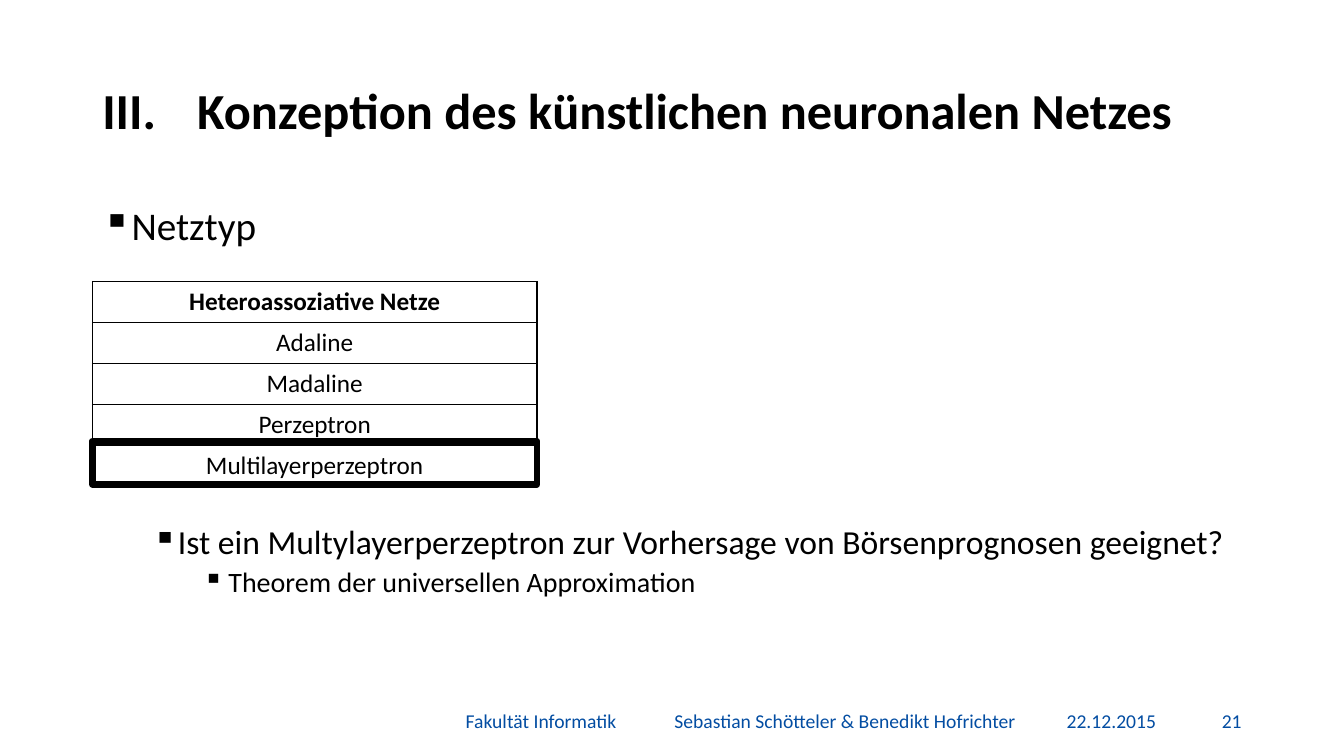
from lxml import etree
from pptx import Presentation
from pptx import util as u
from pptx.dml.color import RGBColor
from pptx.enum import shapes, text
from pptx.oxml import ns

COLORS = {"ink": "000000", "footer": "034DA2"}
FONT = "Calibri"
WIDTH, HEIGHT = u.Inches(13.33), u.Inches(7.5)
COLUMNS, ROWS = 64, 36
MARGIN = 4.4
CONTENT = COLUMNS - 2 * MARGIN
TABLE_TOP, TABLE_WIDTH, TABLE_ROW = 13.4, 21.17, 1.95
NETWORKS = ["Heteroassoziative Netze", "Adaline", "Madaline", "Perzeptron", "Multilayerperzeptron"]
FOOTER = [
    (21.7, 9, "Fakultät Informatik", text.PP_ALIGN.LEFT),
    (31.64, 18, "Sebastian Schötteler & Benedikt Hofrichter", text.PP_ALIGN.LEFT),
    (50.32, 5.24, "22.12.2015", text.PP_ALIGN.LEFT),
    (56.92, 2.68, "21", text.PP_ALIGN.RIGHT),
]


def place(left, top, width, height):
    """Turn grid columns and rows into slide lengths."""
    across, down = WIDTH / COLUMNS, HEIGHT / ROWS
    return int(left * across), int(top * down), int(width * across), int(height * down)


def style(para, size, color="ink", bold=False, align=text.PP_ALIGN.LEFT):
    """Format a paragraph and its runs."""
    para.alignment = align
    for span in para.runs:
        span.font.name = FONT
        span.font.size = u.Pt(size)
        span.font.bold = bold
        span.font.color.rgb = RGBColor.from_string(COLORS[color])


def add_bullet(para, indent, hanging, tag, **attributes):
    """Give a paragraph a hanging bullet or number."""
    properties = para._p.get_or_add_pPr()
    properties.set("marL", str(u.Inches(indent)))
    properties.set("indent", str(-u.Inches(hanging)))
    etree.SubElement(properties, ns.qn(tag), attributes)


def add_frame(page, area, anchor=text.MSO_ANCHOR.TOP):
    """Add a wrapping text box and return its text frame."""
    frame = page.shapes.add_textbox(*place(*area)).text_frame
    frame.word_wrap = True
    frame.vertical_anchor = anchor
    return frame


def add_title(page, wording):
    """Add the numbered chapter title."""
    frame = add_frame(page, (MARGIN, 1.92, CONTENT, 6.96), text.MSO_ANCHOR.MIDDLE)
    para = frame.paragraphs[0]
    para.text = wording
    para.line_spacing = 0.9
    style(para, 36, bold=True)
    add_bullet(para, 0.94, 0.94, "a:buAutoNum", type="romanUcPeriod", startAt="3")


def add_bullets(page, top, height, items):
    """Add a bulleted list of (level, size, wording) items."""
    frame = add_frame(page, (MARGIN, top, CONTENT, height))
    for index, (level, size, wording) in enumerate(items):
        para = frame.add_paragraph() if index else frame.paragraphs[0]
        para.text = wording
        para.level = level
        para.line_spacing = 0.9
        para.space_before = u.Pt(5 if index else 0)
        style(para, size)
        add_bullet(para, 0.25 + 0.5 * level, 0.25, "a:buChar", char="▪")


def add_borders(cell):
    """Draw a thin line on each side of a cell."""
    properties = cell._tc.get_or_add_tcPr()
    for index, side in enumerate(("L", "R", "T", "B")):
        line = etree.Element(ns.qn(f"a:ln{side}"), w=str(u.Pt(1)))
        fill = etree.SubElement(line, ns.qn("a:solidFill"))
        etree.SubElement(fill, ns.qn("a:srgbClr"), val=COLORS["ink"])
        properties.insert(index, line)


def add_network_table(page):
    """Add the one-column table of network types."""
    area = place(MARGIN, TABLE_TOP, TABLE_WIDTH, TABLE_ROW * len(NETWORKS))
    table = page.shapes.add_table(len(NETWORKS), 1, *area).table
    for index, name in enumerate(NETWORKS):
        cell = table.cell(index, 0)
        cell.text = name
        cell.vertical_anchor = text.MSO_ANCHOR.MIDDLE
        cell.fill.background()
        add_borders(cell)
        style(cell.text_frame.paragraphs[0], 18, bold=index == 0, align=text.PP_ALIGN.CENTER)


def add_highlight(page):
    """Frame the last table row."""
    top = TABLE_TOP + TABLE_ROW * (len(NETWORKS) - 1) - 0.2
    area = place(MARGIN, top, TABLE_WIDTH, TABLE_ROW + 0.12)
    box = page.shapes.add_shape(shapes.MSO_SHAPE.RECTANGLE, *area)
    box.shadow.inherit = False
    box.fill.background()
    box.line.color.rgb = RGBColor.from_string(COLORS["ink"])
    box.line.width = u.Pt(4.5)


def add_footer(page):
    """Add the entries along the bottom edge."""
    for left, width, wording, align in FOOTER:
        frame = add_frame(page, (left, 33.36, width, 1.92), text.MSO_ANCHOR.MIDDLE)
        frame.text = wording
        style(frame.paragraphs[0], 14, "footer", align=align)


def main():
    """Build and save the slide."""
    deck = Presentation()
    deck.slide_width, deck.slide_height = WIDTH, HEIGHT
    page = deck.slides.add_slide(deck.slide_layouts[6])
    add_title(page, "Konzeption des künstlichen neuronalen Netzes")
    add_bullets(page, 9.6, 3.4, [(0, 28, "Netztyp")])
    add_bullets(page, 24.77, 5, [
        (1, 24, "Ist ein Multylayerperzeptron zur Vorhersage von Börsenprognosen geeignet?"),
        (2, 20, "Theorem der universellen Approximation"),
    ])
    add_footer(page)
    add_network_table(page)
    add_highlight(page)
    deck.save("out.pptx")


if __name__ == "__main__":
    main()
